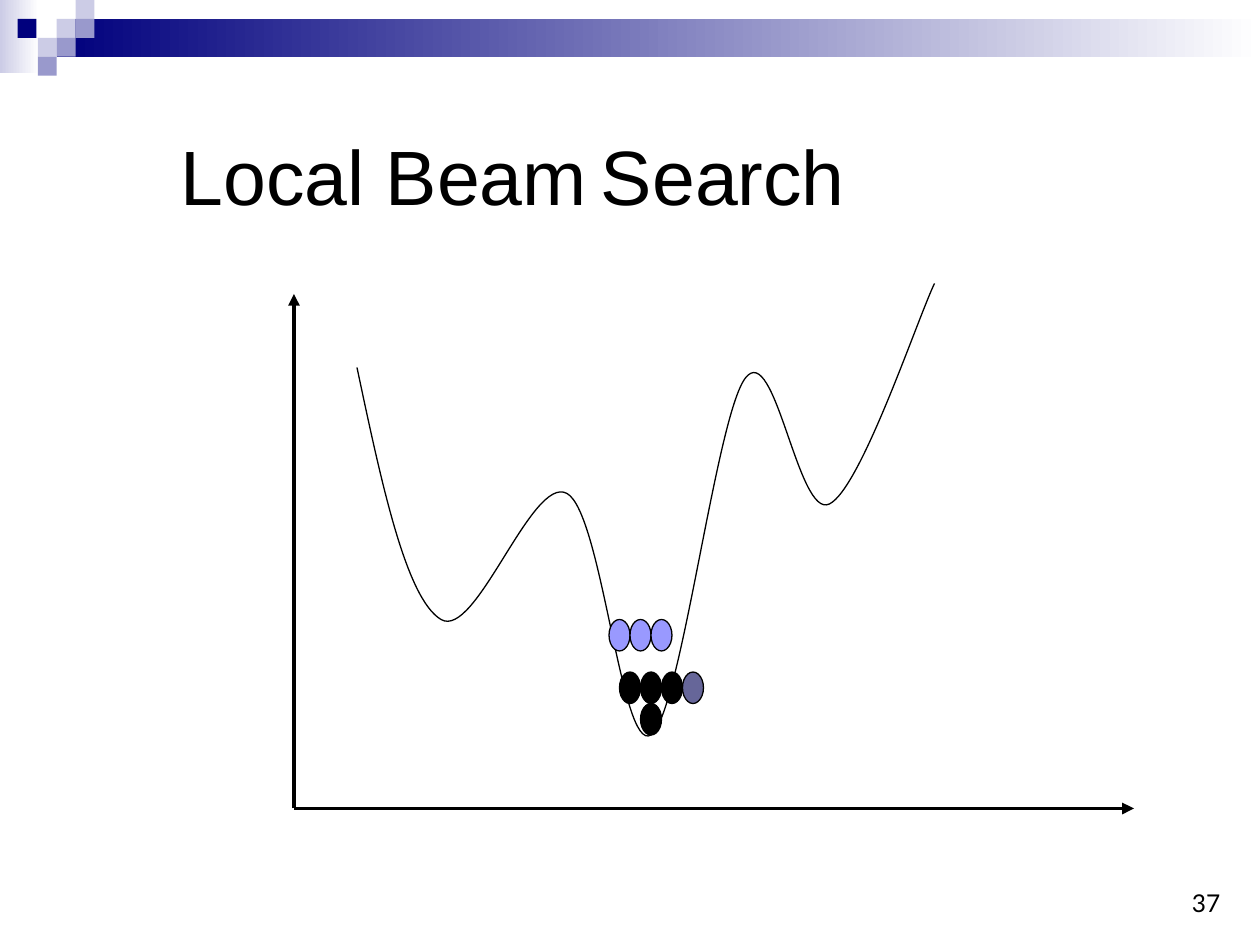
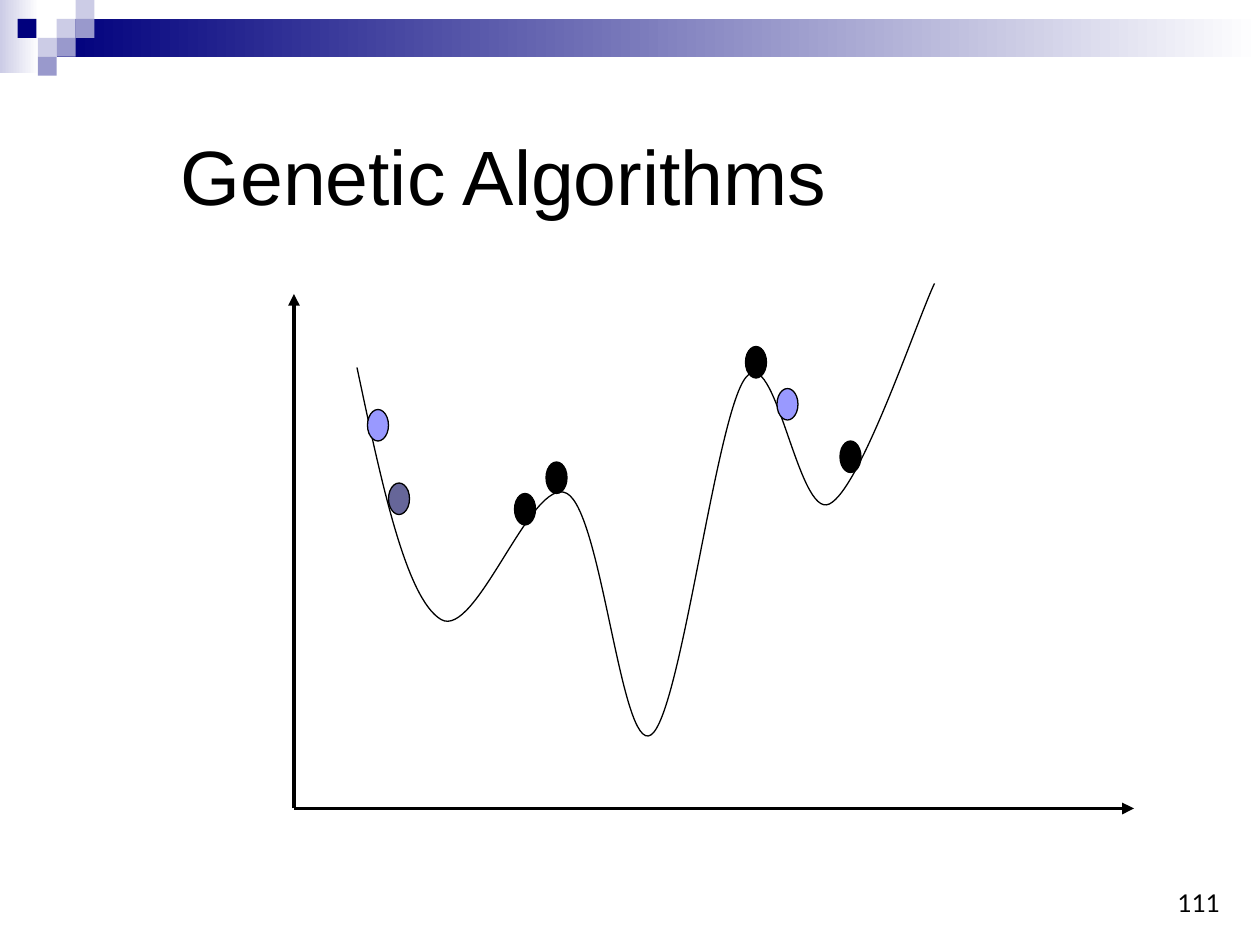
from dataclasses import dataclass

from lxml import etree
from pptx import Presentation
from pptx.dml.color import RGBColor
from pptx.enum.shapes import MSO_CONNECTOR, MSO_SHAPE
from pptx.enum.text import MSO_ANCHOR, PP_ALIGN
from pptx.oxml.ns import qn
from pptx.util import Pt

RECTANGLE, OVAL = MSO_SHAPE.RECTANGLE, MSO_SHAPE.OVAL
STRAIGHT = MSO_CONNECTOR.STRAIGHT
MIDDLE, BOTTOM = MSO_ANCHOR.MIDDLE, MSO_ANCHOR.BOTTOM
LEFT, RIGHT = PP_ALIGN.LEFT, PP_ALIGN.RIGHT


@dataclass(frozen=True)
class Theme:
    black: RGBColor = RGBColor(0x00, 0x00, 0x00)
    white: RGBColor = RGBColor(0xFF, 0xFF, 0xFF)
    navy: RGBColor = RGBColor(0x00, 0x00, 0x7D)
    pale: RGBColor = RGBColor(0xCC, 0xCC, 0xE6)
    lavender: RGBColor = RGBColor(0x99, 0x99, 0xCC)
    periwinkle: RGBColor = RGBColor(0x99, 0x99, 0xFF)
    slate: RGBColor = RGBColor(0x66, 0x66, 0x99)
    title_size: float = 44
    gap_size: float = 28
    number_size: float = 14
    axis_width: float = 2.25
    thin_width: float = 0.75


THEME = Theme()
TITLE = {"name": "Arial", "size": Pt(THEME.title_size), "italic": False}
TITLE_GAP = {"name": "Arial", "size": Pt(THEME.gap_size), "italic": True}
NUMBER = {"name": "Lato", "size": Pt(THEME.number_size)}

# Header: gradient bands as (left, top, width, height, start colour),
# then squares as (column, row, colour) on a grid of one square.
BANDS = [(0, 0, 22.3, 41.8, THEME.pale), (32.4, 10.8, 687.6, 21.6, THEME.navy)]
SQUARE = 10.8
SQUARES = [
    (3, 1, THEME.pale), (4, 0, THEME.pale), (4, 1, THEME.lavender),
    (2, 2, THEME.pale), (0.93, 1, THEME.navy),
    (3, 2, THEME.lavender), (2, 3, THEME.lavender),
]

# Search landscape: after the start, each row is two control points and a knot.
ORIGIN = (168, 462)
AXIS_TIPS = [(168, 168), (648, 462)]
CURVE_START = (204, 210)
CURVE = [
    (218, 276), (232, 342), (252, 354),
    (272, 366), (304, 271), (324, 282),
    (344, 293), (355, 431), (372, 420),
    (389, 409), (409, 238), (426, 216),
    (443, 194), (456, 297), (474, 288),
    (492, 279), (524, 183), (534, 162),
]
STATE_WIDTH, STATE_HEIGHT = 12, 18

SLIDES = [
    {
        "title": [("Local Beam", TITLE), (" ", TITLE_GAP), ("Search", TITLE)],
        "number": "37",
        "states": [
            (348, 354, THEME.periwinkle), (360, 354, THEME.periwinkle),
            (372, 354, THEME.periwinkle), (354, 384, THEME.black),
            (366, 402, THEME.black), (366, 384, THEME.black),
            (378, 384, THEME.black), (390, 384, THEME.slate),
        ],
    },
    {
        "title": [("Genetic Algorithms", TITLE)],
        "number": "111",
        "states": [
            (210, 234, THEME.periwinkle), (294, 282, THEME.black),
            (444, 222, THEME.periwinkle), (480, 252, THEME.black),
            (222, 276, THEME.slate), (312, 264, THEME.black),
            (426, 198, THEME.black),
        ],
    },
]


def add_block(slide, preset, box, color, fade=False, outlined=False):
    """Add a preset shape in one colour, or fading to white from left to right."""
    block = slide.shapes.add_shape(preset, *map(Pt, box))
    block.shadow.inherit = False
    if fade:
        block.fill.gradient()
        block.fill.gradient_angle = 0
        for stop, stop_color in zip(block.fill.gradient_stops, (color, THEME.white)):
            stop.color.rgb = stop_color
    else:
        block.fill.solid()
        block.fill.fore_color.rgb = color
    if outlined:
        block.line.color.rgb = THEME.black
        block.line.width = Pt(THEME.thin_width)
    else:
        block.line.fill.background()


def add_text(slide, box, runs, anchor, align):
    """Add one paragraph made of (text, font format) runs."""
    frame = slide.shapes.add_textbox(*map(Pt, box)).text_frame
    frame.word_wrap = True
    frame.vertical_anchor = anchor
    paragraph = frame.paragraphs[0]
    paragraph.alignment = align
    for text, font_format in runs:
        run = paragraph.add_run()
        run.text = text
        run.font.color.rgb = THEME.black
        for attribute, value in font_format.items():
            setattr(run.font, attribute, value)


deck = Presentation()
deck.slide_width, deck.slide_height = Pt(720), Pt(540)
blank_layout = deck.slide_layouts[6]

for content in SLIDES:
    slide = deck.slides.add_slide(blank_layout)

    for *band, color in BANDS:
        add_block(slide, RECTANGLE, band, color, fade=True)
    for column, row, color in SQUARES:
        square = (column * SQUARE, row * SQUARE, SQUARE, SQUARE)
        add_block(slide, RECTANGLE, square, color)

    add_text(slide, (554.4, 492, 150, 36), [(content["number"], NUMBER)], BOTTOM, RIGHT)
    add_text(slide, (96, 67.5, 613.5, 65), content["title"], MIDDLE, LEFT)

    for tip in AXIS_TIPS:
        axis = slide.shapes.add_connector(STRAIGHT, *map(Pt, ORIGIN + tip))
        axis.line.color.rgb = THEME.black
        axis.line.width = Pt(THEME.axis_width)
        etree.SubElement(axis.line._get_or_add_ln(), qn("a:tailEnd"), type="triangle")
        etree.SubElement(axis.element.spPr, qn("a:effectLst"))

    builder = slide.shapes.build_freeform(*CURVE_START, scale=Pt(1))
    builder.add_line_segments(CURVE, close=False)
    landscape = builder.convert_to_shape()
    landscape.shadow.inherit = False
    landscape.fill.background()
    landscape.line.color.rgb = THEME.black
    landscape.line.width = Pt(THEME.thin_width)
    # Every three straight segments become one Bézier segment.
    outline = next(landscape.element.iter(qn("a:path")))
    segments = outline.findall(qn("a:lnTo"))
    for first in range(0, len(segments), 3):
        bezier = etree.SubElement(outline, qn("a:cubicBezTo"))
        for segment in segments[first:first + 3]:
            bezier.append(segment[0])
            outline.remove(segment)

    for left, top, color in content["states"]:
        state = (left, top, STATE_WIDTH, STATE_HEIGHT)
        add_block(slide, OVAL, state, color, outlined=True)

deck.save("out.pptx")
